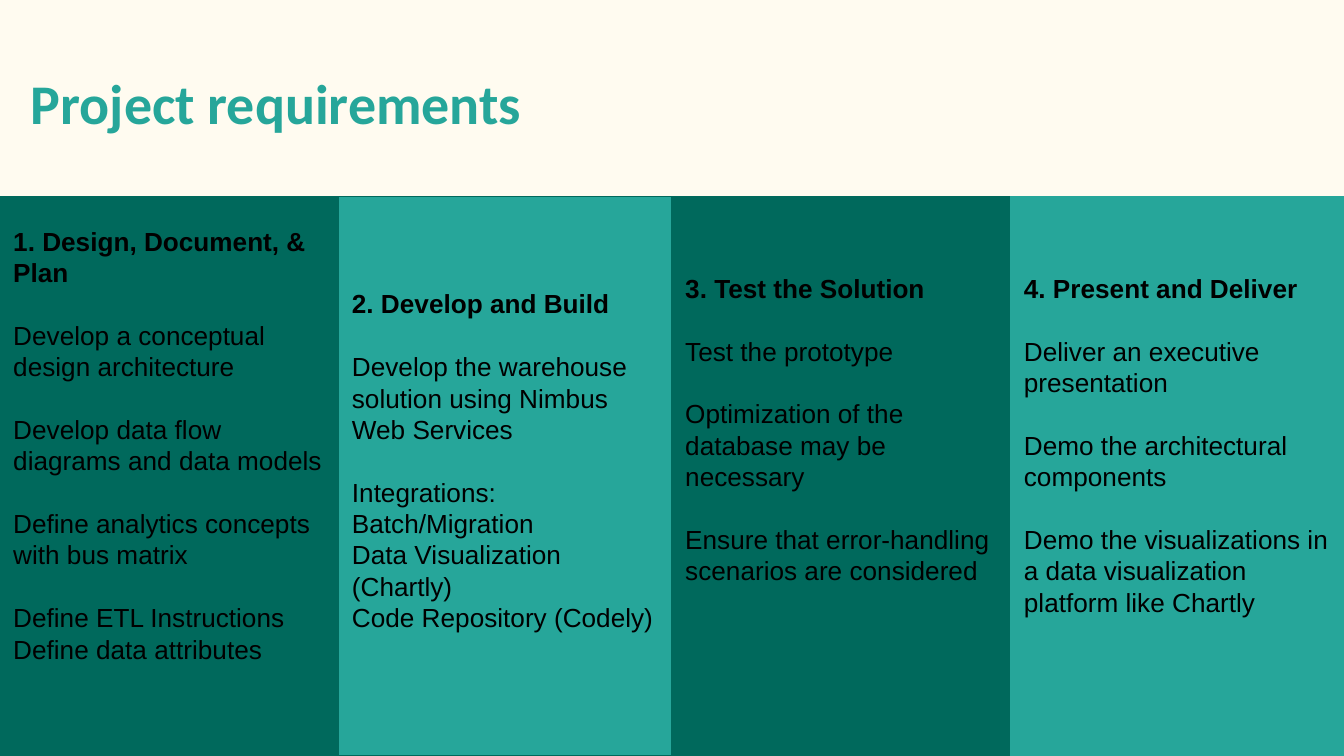
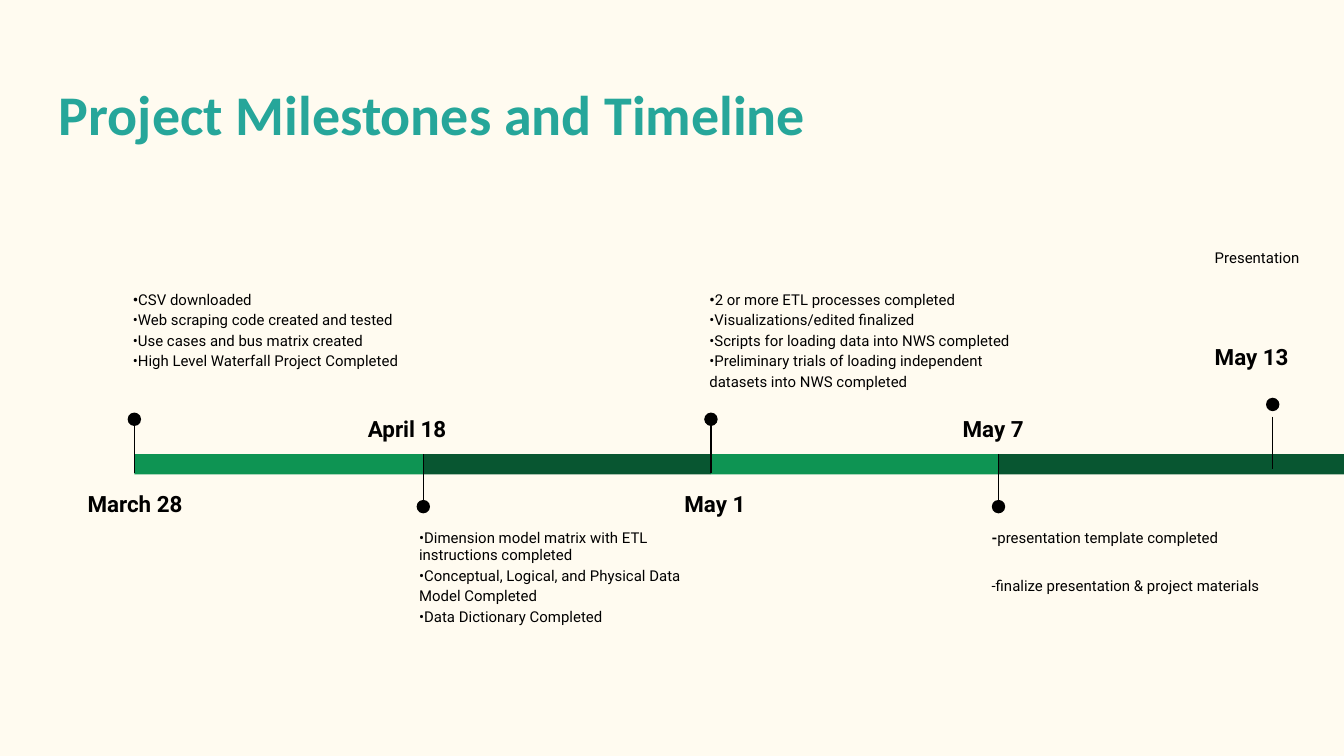
from pptx import Presentation
from pptx.dml.color import RGBColor
from pptx.enum.shapes import MSO_CONNECTOR, MSO_SHAPE
from pptx.enum.text import MSO_ANCHOR, PP_ALIGN
from pptx.oxml.ns import qn
from pptx.util import Inches, Pt
from lxml import etree

# Shared look
WIDTH = 10
HEIGHT = WIDTH * 9 / 16
CREAM = RGBColor(0xFF, 0xFB, 0xF0)
TEAL = RGBColor(0x26, 0xA6, 0x9A)
DARK_TEAL = RGBColor(0x00, 0x69, 0x5C)
GREEN = RGBColor(0x0E, 0x94, 0x53)
DARK_GREEN = RGBColor(0x08, 0x56, 0x31)
BLACK = RGBColor(0, 0, 0)
INSET = 0.1

# Requirement columns
COLUMN_TOP = 1.46
COLUMN_WIDTHS = (2.52, 2.48)
BLANK_LINE = 16.8  # points, one line of 14 pt text

# Each column: heading, groups of lines, lines kept free at the bottom
REQUIREMENTS = [
    ("1. Design, Document, & Plan",
     [["Develop a conceptual design architecture"],
      ["Develop data flow diagrams and data models"],
      ["Define analytics concepts with bus matrix"],
      ["Define ETL Instructions", "Define data attributes"]], 2),
    ("2. Develop and Build",
     [["Develop the warehouse solution using Nimbus Web Services"],
      ["Integrations:", "Batch/Migration", "Data Visualization (Chartly)",
       "Code Repository (Codely)"]], 1),
    ("3. Test the Solution",
     [["Test the prototype"],
      ["Optimization of the database may be necessary"],
      ["Ensure that error-handling scenarios are considered"]], 3),
    ("4. Present and Deliver",
     [["Deliver an executive presentation"],
      ["Demo the architectural components"],
      ["Demo the visualizations in a data visualization "
       "platform like Chartly"]], 2),
]

# Timeline
STEM_POSITIONS = (1.0, 3.15, 5.29, 7.43)
BAR_ENDS = STEM_POSITIONS[1:] + (WIDTH,)
BAR_TOP, BAR_HEIGHT = 3.38, 0.15
DOT = 0.1

# Each milestone: date, its left and width, left of the notes, marker,
# whether the marker of the first note is bold, paragraph gap, notes
MILESTONES = [
    ("March 28", 0.53, 0.95, 0.89, "•", True, 0,
     ["CSV downloaded", "Web scraping code created and tested",
      "Use cases and bus matrix created",
      "High Level Waterfall Project Completed"]),
    ("April 18", 2.48, 1.1, 3.02, "•", False, 0,
     ["Dimension model matrix with ETL instructions completed",
      "Conceptual, Logical, and Physical Data Model Completed",
      "Data Dictionary Completed"]),
    ("May 1", 4.94, 0.76, 5.18, "•", True, 0,
     ["2 or more ETL processes completed", "Visualizations/edited finalized",
      "Scripts for loading data into NWS completed",
      "Preliminary trials of loading independent datasets into NWS "
      "completed"]),
    ("May 7", 6.98, 0.82, 7.28, "-", True, 15,
     ["presentation template completed",
      "finalize presentation & project materials"]),
]


def write(paragraph, text, size=14, font="Arial", color=BLACK, bold=False,
          align=PP_ALIGN.LEFT, before=0, spacing=1.0):
    """Put formatted text into a paragraph."""
    run = paragraph.add_run()
    run.text = text
    run.font.size = Pt(size)
    run.font.name = font
    run.font.bold = bold
    run.font.color.rgb = color
    paragraph.alignment = align
    paragraph.space_before = Pt(before)
    paragraph.line_spacing = spacing


def next_paragraph(frame):
    first = frame.paragraphs[0]
    return frame.add_paragraph() if first.runs else first


def prepare_frame(holder, anchor=MSO_ANCHOR.TOP, bottom=INSET):
    frame = holder.text_frame
    frame.word_wrap = True
    frame.vertical_anchor = anchor
    frame.margin_left = frame.margin_right = frame.margin_top = Inches(INSET)
    frame.margin_bottom = Inches(bottom)
    return frame


def add_text(shapes, left, top, width, height, text, **style):
    box = shapes.add_textbox(Inches(left), Inches(top),
                             Inches(width), Inches(height))
    frame = prepare_frame(box)
    write(frame.paragraphs[0], text, **style)
    return frame


def add_block(shapes, kind, left, top, width, height, fill, outline=None):
    block = shapes.add_shape(kind, Inches(left), Inches(top),
                             Inches(width), Inches(height))
    block.shadow.inherit = False
    block.fill.solid()
    block.fill.fore_color.rgb = fill
    if outline is None:
        block.line.fill.background()
    else:
        block.line.color.rgb = outline
        block.line.width = Pt(0.75)
    return block


def add_stem(shapes, x, top, bottom):
    stem = shapes.add_connector(MSO_CONNECTOR.STRAIGHT, Inches(x), Inches(top),
                                Inches(x), Inches(bottom))
    stem.line.color.rgb = BLACK
    stem.line.width = Pt(0.75)
    etree.SubElement(stem._element.spPr, qn("a:effectLst"))


def add_dot(shapes, x, top):
    add_block(shapes, MSO_SHAPE.OVAL, x - DOT / 2, top, DOT, DOT, BLACK)


def add_titled_slide(deck, title, left, top):
    slide = deck.slides.add_slide(deck.slide_layouts[6])
    slide.background.fill.solid()
    slide.background.fill.fore_color.rgb = CREAM
    add_text(slide.shapes, left, top, 9.32, 0.67, title,
             size=30, font="Calibri", color=TEAL, bold=True)
    return slide.shapes


def add_requirement(shapes, left, width, fill, outline, requirement):
    heading, groups, free_lines = requirement
    column = add_block(shapes, MSO_SHAPE.RECTANGLE, left, COLUMN_TOP, width,
                       HEIGHT - COLUMN_TOP, fill, outline)
    frame = prepare_frame(column, MSO_ANCHOR.MIDDLE,
                          INSET + free_lines * BLANK_LINE / 72)
    write(next_paragraph(frame), heading, bold=True)
    for group in groups:
        for number, line in enumerate(group):
            write(next_paragraph(frame), line,
                  before=0 if number else BLANK_LINE)


def add_milestone(shapes, number, milestone):
    (date, date_left, date_width, notes_left,
     marker, bold_marker, gap, notes) = milestone
    below = number % 2 == 1
    x = STEM_POSITIONS[number]
    add_block(shapes, MSO_SHAPE.RECTANGLE, x, BAR_TOP, BAR_ENDS[number] - x,
              BAR_HEIGHT, DARK_GREEN if below else GREEN)

    # Odd milestones hang below the bar, even ones stand above it
    if below:
        stem_top, stem_bottom, dot_top = 3.38, 3.77, 3.72
        date_top, notes_top, first_spacing = 2.96, 3.83, 1.0
    else:
        stem_top, stem_bottom, dot_top = 3.13, 3.52, 3.07
        date_top, notes_top, first_spacing = 3.52, 2.04, 1.15
    add_stem(shapes, x, stem_top, stem_bottom)
    add_dot(shapes, x, dot_top)
    add_text(shapes, date_left, date_top, date_width, 0.41, date, size=12,
             font="Roboto", bold=True, align=PP_ALIGN.CENTER, spacing=1.15)

    # Notes
    frame = add_text(shapes, notes_left, notes_top, 2.46, 1.03, marker, size=8,
                     font="Roboto", bold=bold_marker, spacing=first_spacing)
    write(frame.paragraphs[0], notes[0], size=8, font="Roboto",
          spacing=first_spacing)
    for note in notes[1:]:
        write(next_paragraph(frame), marker + note, size=8, font="Roboto",
              before=gap, spacing=1.15)


def build_requirements(deck):
    shapes = add_titled_slide(deck, "Project requirements", 0.13, 0.41)
    left = 0
    for number, requirement in enumerate(REQUIREMENTS):
        width = COLUMN_WIDTHS[number % 2]
        fill = (DARK_TEAL, TEAL)[number % 2]
        outline = TEAL if number == 3 else DARK_TEAL
        add_requirement(shapes, left, width, fill, outline, requirement)
        left += width


def build_timeline(deck):
    shapes = add_titled_slide(deck, "Project Milestones and Timeline",
                              0.34, 0.49)
    for number, milestone in enumerate(MILESTONES):
        add_milestone(shapes.add_group_shape().shapes, number, milestone)

    # Closing presentation
    add_dot(shapes, 9.47, 2.96)
    add_stem(shapes, 9.47, 3.1, 3.49)
    add_text(shapes, 8.94, 2.45, 1.06, 0.51, "May 13",
             size=12, font="Roboto", bold=True)
    add_text(shapes, 8.94, 1.78, 0.87, 0.45, "Presentation",
             size=8, font="Roboto")


def main():
    deck = Presentation()
    deck.slide_width, deck.slide_height = Inches(WIDTH), Inches(HEIGHT)
    build_requirements(deck)
    build_timeline(deck)
    deck.save("out.pptx")


main()
